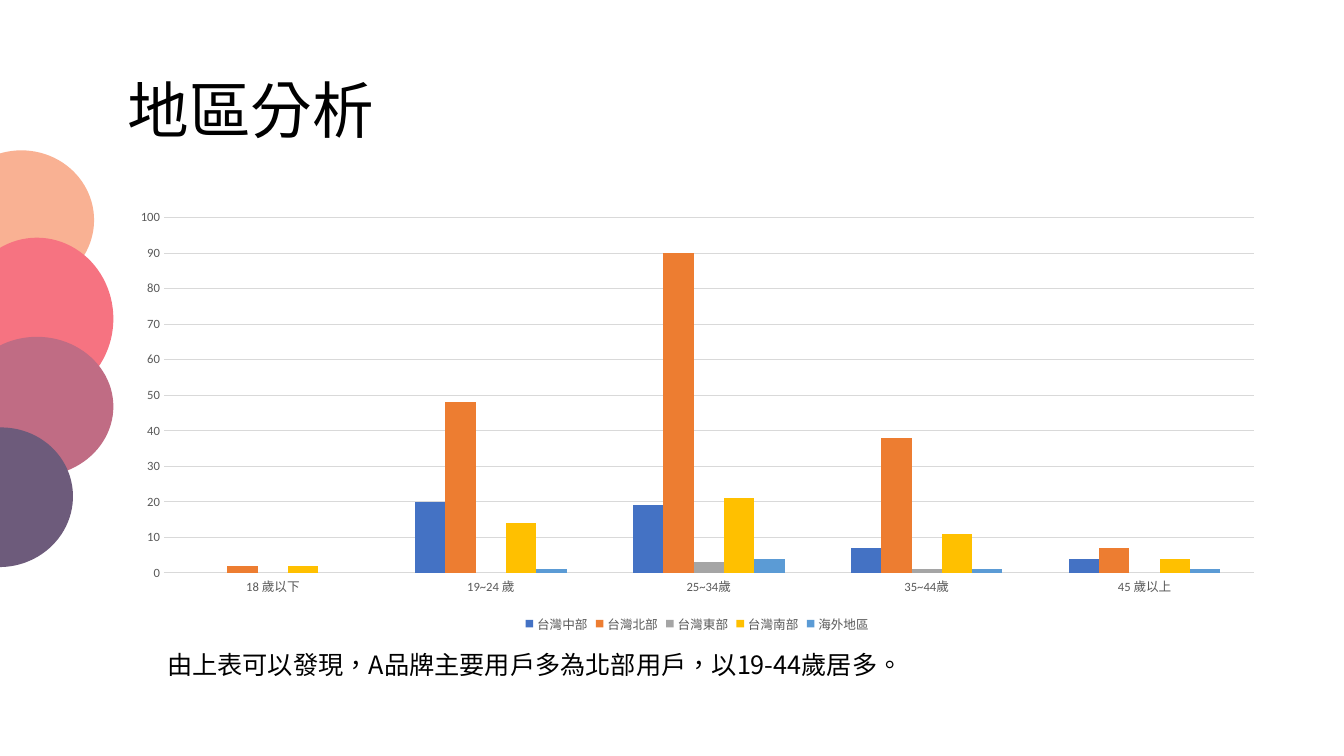
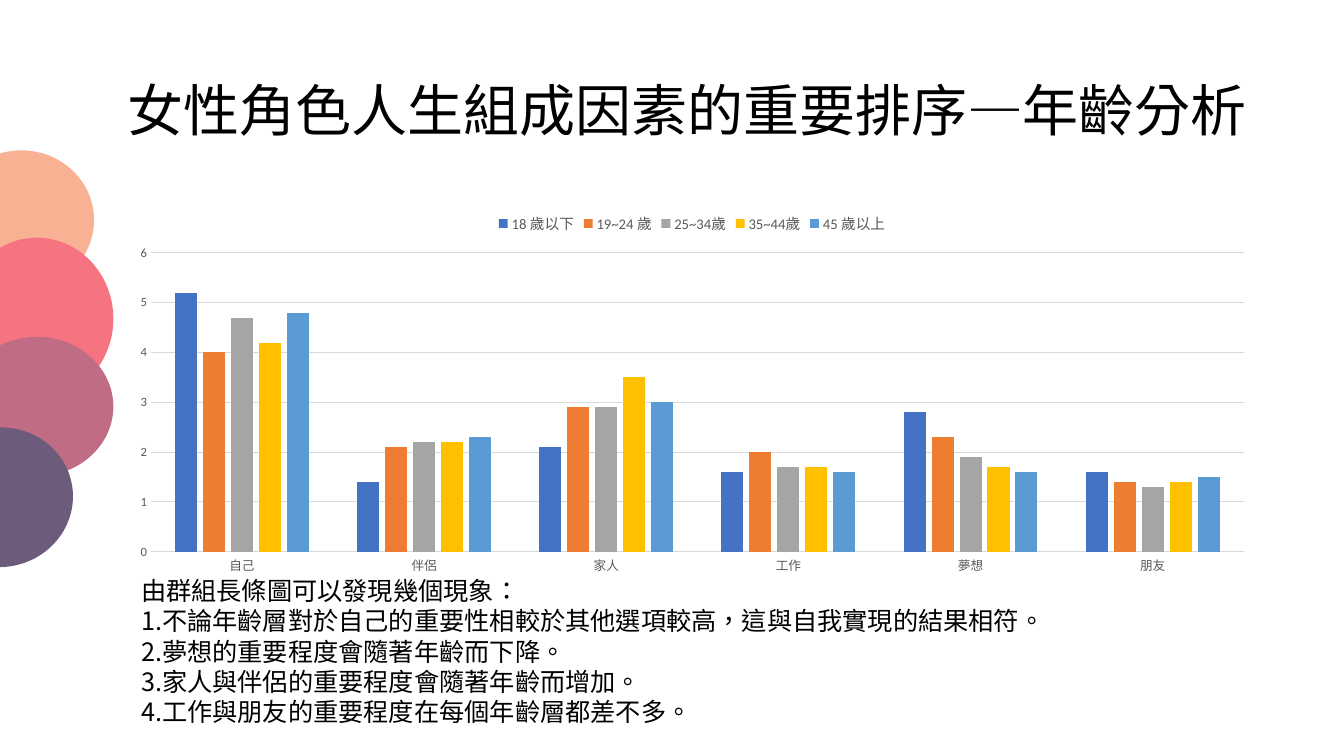
from pptx import Presentation
from pptx.chart.data import CategoryChartData
from pptx.dml.color import RGBColor
from pptx.enum.chart import XL_CHART_TYPE, XL_LEGEND_POSITION, XL_TICK_MARK
from pptx.enum.lang import MSO_LANGUAGE_ID
from pptx.enum.shapes import MSO_SHAPE
from pptx.enum.text import MSO_ANCHOR, MSO_AUTO_SIZE, PP_ALIGN
from pptx.oxml.ns import qn
from pptx.util import Inches, Pt
from lxml import etree

COLUMNS = XL_CHART_TYPE.COLUMN_CLUSTERED
LEGEND_TOP, LEGEND_BOTTOM = XL_LEGEND_POSITION.TOP, XL_LEGEND_POSITION.BOTTOM
NO_TICK = XL_TICK_MARK.NONE
ELLIPSE = MSO_SHAPE.OVAL
LEFT = PP_ALIGN.LEFT
TOP, MIDDLE = MSO_ANCHOR.TOP, MSO_ANCHOR.MIDDLE
NO_FIT = MSO_AUTO_SIZE.NONE
CHINESE = MSO_LANGUAGE_ID.TRADITIONAL_CHINESE

# Grid of 160 columns by 90 rows
GRID_COLS, GRID_ROWS = 160, 90
MARGIN = 14

AGES = ["18 歲以下", "19~24 歲", "25~34歲", "35~44歲", "45 歲以上"]


def color(hex_string):
    return RGBColor.from_string(hex_string)


class Deck:
    TITLE_FONT, BODY_FONT, CHART_FONT = "Times New Roman", "Noto Sans CJK SC", "Calibri"
    INK, LABEL, RULE = "000000", "595959", "D9D9D9"
    SERIES = ["4472C4", "ED7D31", "A5A5A5", "FFC000", "5B9BD5"]
    # Column, row, width, height, rotation and colour of each side circle
    CIRCLES = [
        (-6.1, 17.9, 17.3, 16.6, 0, "F9B193"),
        (-4.7, 28.3, 18.2, 19.3, 0, "F67381"),
        (-4.7, 40.1, 18.2, 16.6, 0, "C06C84"),
        (-8.6, 50.9, 17.3, 16.6, 351.1, "6D5B7B"),
    ]

    def __init__(self):
        self.prs = Presentation()
        self.prs.slide_width, self.prs.slide_height = Inches(13.33), Inches(7.5)
        self.layout = self.prs.slide_layouts[1]
        self.slide = None

    def box(self, col, row, cols, rows):
        x_unit = self.prs.slide_width / GRID_COLS
        y_unit = self.prs.slide_height / GRID_ROWS
        return (int(col * x_unit), int(row * y_unit),
                int(cols * x_unit), int(rows * y_unit))

    def new_slide(self, heading, size):
        first = self.slide is None
        self.slide = self.prs.slides.add_slide(self.layout)
        if first:
            self.side_circles()
        title = self.slide.shapes.title
        self.place(title, (MARGIN, 4.8, 138, 17.4), MIDDLE)
        self.set_lines(title, [heading], self.TITLE_FONT, size, 0.9)

    def side_circles(self):
        """Draw the circles once and hand them to the shared layout."""
        for position, (*area, turn, fill) in enumerate(self.CIRCLES, start=2):
            circle = self.slide.shapes.add_shape(ELLIPSE, *self.box(*area))
            circle.rotation = turn
            circle.shadow.inherit = False
            circle.fill.solid()
            circle.fill.fore_color.rgb = color(fill)
            circle.line.fill.background()
            self.layout.shapes.element.insert(position, circle.element)

    def place(self, holder, area, anchor):
        holder.left, holder.top, holder.width, holder.height = self.box(*area)
        frame = holder.text_frame
        frame.auto_size = NO_FIT
        frame.word_wrap = True
        frame.vertical_anchor = anchor

    def set_lines(self, holder, lines, font_name, size, spacing):
        holder.text_frame.text = "\n".join(lines)
        for paragraph in holder.text_frame.paragraphs:
            paragraph.alignment = LEFT
            paragraph.line_spacing = spacing
            paragraph.space_before = Pt(0)
            for run in paragraph.runs:
                run.font.name = font_name
                run.font.size = Pt(size)
                run.font.color.rgb = color(self.INK)
                run.font.language_id = CHINESE

    def findings(self, lines, area):
        body = self.slide.placeholders[1]
        self.place(body, area, TOP)
        self.set_lines(body, lines, self.BODY_FONT, 18, 1.0)
        # Plain lines: no bullet and no hanging indent
        for paragraph in body.text_frame.paragraphs:
            props = paragraph._p.get_or_add_pPr()
            props.set("marL", "0")
            props.set("indent", "0")
            etree.SubElement(props, qn("a:buNone"))
        # The text lies in front of the chart
        self.slide.shapes.element.append(body.element)

    def style_font(self, font, size, ink):
        font.name, font.size = self.CHART_FONT, Pt(size)
        font.color.rgb = color(ink)

    def column_chart(self, area, categories, series, legend_at, legend_size, overlap):
        data = CategoryChartData()
        data.categories = categories
        for name, values in series.items():
            data.add_series(name, values)
        chart = self.slide.shapes.add_chart(COLUMNS, *self.box(*area), data).chart
        chart.has_title = False
        self.style_font(chart.font, 10, self.INK)

        # Columns
        plot = chart.plots[0]
        plot.gap_width, plot.overlap = 219, overlap
        plot.vary_by_categories = False
        for bars, fill in zip(plot.series, self.SERIES):
            bars.format.fill.solid()
            bars.format.fill.fore_color.rgb = color(fill)

        # Axes and grid
        for axis in (chart.category_axis, chart.value_axis):
            axis.major_tick_mark = axis.minor_tick_mark = NO_TICK
            self.style_font(axis.tick_labels.font, 9, self.LABEL)
        chart.value_axis.format.line.fill.background()
        chart.value_axis.has_major_gridlines = True
        for line in (chart.category_axis.format.line,
                     chart.value_axis.major_gridlines.format.line):
            line.color.rgb = color(self.RULE)
            line.width = Pt(0.75)

        # Legend
        chart.has_legend = True
        chart.legend.position = legend_at
        chart.legend.include_in_layout = False
        self.style_font(chart.legend.font, legend_size, self.LABEL)


def main():
    deck = Deck()

    # Users by region
    deck.new_slide("地區分析", 44)
    users_by_region = {
        "台灣中部": [None, 20, 19, 7, 4],
        "台灣北部": [2, 48, 90, 38, 7],
        "台灣東部": [None, None, 3, 1, None],
        "台灣南部": [2, 14, 21, 11, 4],
        "海外地區": [None, 1, 4, 1, 1],
    }
    deck.column_chart((MARGIN, 24, 138, 51.8), AGES, users_by_region,
                      LEGEND_BOTTOM, 9, 0)
    deck.findings(["由上表可以發現，A品牌主要用戶多為北部用戶，以19-44歲居多。"],
                  (18.7, 76.7, 130.3, 4.8))

    # Life factors by age
    deck.new_slide("女性角色人生組成因素的重要排序—年齡分析", 40)
    factors = ["自己", "伴侶", "家人", "工作", "夢想", "朋友"]
    scores = [
        [5.2, 1.4, 2.1, 1.6, 2.8, 1.6],
        [4, 2.1, 2.9, 2, 2.3, 1.4],
        [4.7, 2.2, 2.9, 1.7, 1.9, 1.3],
        [4.2, 2.2, 3.5, 1.7, 1.7, 1.4],
        [4.8, 2.3, 3, 1.6, 1.6, 1.5],
    ]
    deck.column_chart((MARGIN, 24, 136.8, 45.2), factors, dict(zip(AGES, scores)),
                      LEGEND_TOP, 10.5, -27)
    deck.findings([
        "由群組長條圖可以發現幾個現象：",
        "1.不論年齡層對於自己的重要性相較於其他選項較高，這與自我實現的結果相符。",
        "2.夢想的重要程度會隨著年齡而下降。",
        "3.家人與伴侶的重要程度會隨著年齡而增加。",
        "4.工作與朋友的重要程度在每個年齡層都差不多。",
    ], (15.6, 67.9, 130.3, 19.4))

    deck.prs.save("out.pptx")


if __name__ == "__main__":
    main()
